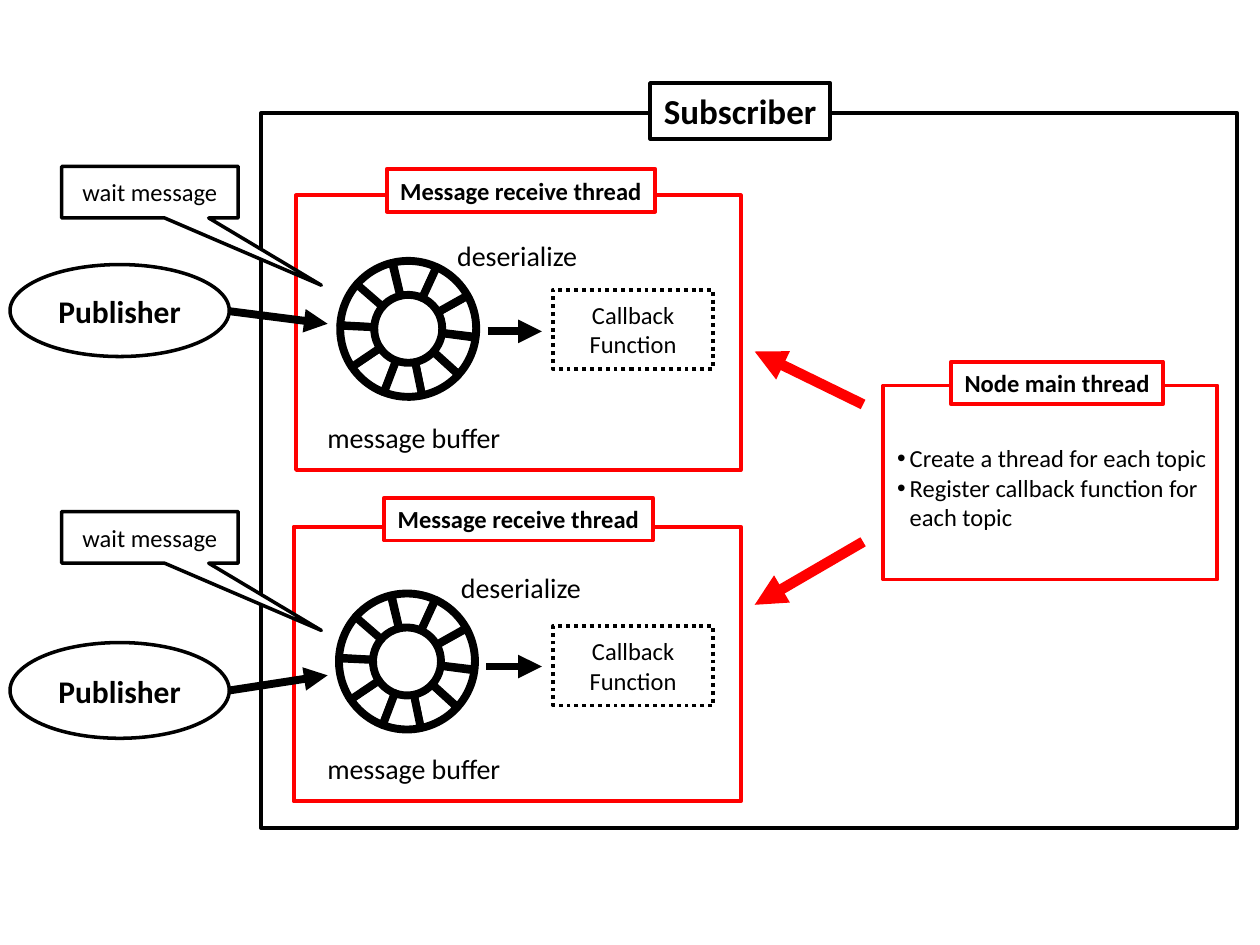
from dataclasses import dataclass

from lxml import etree
from pptx import Presentation
from pptx.dml.color import RGBColor
from pptx.enum import dml, shapes, text
from pptx.oxml import ns
from pptx.util import Inches, Pt

BLACK = RGBColor(0, 0, 0)
WHITE = RGBColor(255, 255, 255)
RED = RGBColor(255, 0, 0)
FONT = "Calibri"
SHAPE = shapes.MSO_SHAPE
CENTER = text.PP_ALIGN.CENTER
LEFT = text.PP_ALIGN.LEFT
RING_SEGMENTS = (
    (294.4, 193.515), (6.8, 194.524), (78.3, 194.493), (146.1, 194.994),
    (222.2, 192.587), (256.3, 194.81), (330.6, 194.524), (42.1, 195.263),
    (110.8, 196.509), (182.7, 193.944),
)


@dataclass(frozen=True)
class Box:
    left: float
    top: float
    width: float
    height: float

    def lengths(self) -> tuple:
        return tuple(Inches(value) for value in
                     (self.left, self.top, self.width, self.height))


@dataclass(frozen=True)
class Arrow:
    start: tuple[float, float]
    end: tuple[float, float]
    color: RGBColor = BLACK
    width: float = 4.5


@dataclass(frozen=True)
class ReceiveThread:
    frame: Box
    tag: Box
    ring: Box
    publisher: Box
    callout: Box
    callback: Box
    deserialize: Box
    message_buffer: Box
    arrows: tuple[Arrow, Arrow]


THREADS = (
    ReceiveThread(
        frame=Box(2.35, 1.55, 3.53, 2.18),
        tag=Box(3.07, 1.34, 2.13, 0.34),
        ring=Box(2.7, 2.07, 1.08, 1.08),
        publisher=Box(0.08, 2.1, 1.74, 0.73),
        callout=Box(0.49, 1.32, 1.4, 0.41),
        callback=Box(4.39, 2.3, 1.27, 0.63),
        deserialize=Box(3.42, 1.83, 1.37, 0.39),
        message_buffer=Box(2.3, 3.16, 1.97, 0.63),
        arrows=(Arrow((1.82, 2.47), (2.6, 2.57)),
                Arrow((3.87, 2.63), (4.3, 2.63))),
    ),
    ReceiveThread(
        frame=Box(2.33, 4.18, 3.55, 2.18),
        tag=Box(3.05, 3.95, 2.13, 0.34),
        ring=Box(2.69, 4.71, 1.08, 1.08),
        publisher=Box(0.08, 5.1, 1.74, 0.76),
        callout=Box(0.49, 4.06, 1.4, 0.41),
        callback=Box(4.39, 4.97, 1.27, 0.63),
        deserialize=Box(3.45, 4.47, 1.37, 0.39),
        message_buffer=Box(2.3, 5.78, 1.97, 0.63),
        arrows=(Arrow((1.82, 5.48), (2.6, 5.36)),
                Arrow((3.86, 5.29), (4.3, 5.29))),
    ),
)
CREATION_ARROWS = (
    Arrow((6.85, 3.21), (5.99, 2.79), RED, 6),
    Arrow((6.85, 4.3), (5.99, 4.8), RED, 6),
)


def write_text(shape, content: str, *, size: float = 14, bold: bool = False,
               align=CENTER, wrap: bool = True) -> None:
    frame = shape.text_frame
    frame.text = content
    frame.word_wrap = wrap
    frame.auto_size = text.MSO_AUTO_SIZE.NONE
    frame.vertical_anchor = text.MSO_ANCHOR.MIDDLE
    for paragraph in frame.paragraphs:
        paragraph.alignment = align
        paragraph.space_before = Pt(0)
        font = paragraph.runs[0].font
        font.name = FONT
        font.size = Pt(size)
        font.bold = bold
        font.color.rgb = BLACK


def place(shape, box: Box) -> None:
    shape.left, shape.top, shape.width, shape.height = box.lengths()


def paint(shape, line: RGBColor, width: float, filled: bool) -> None:
    if filled:
        shape.fill.solid()
        shape.fill.fore_color.rgb = WHITE
    else:
        shape.fill.background()
    shape.line.color.rgb = line
    shape.line.width = Pt(width)


def add_shape(parent, kind, box: Box, *, line: RGBColor = BLACK,
              width: float = 2.25, filled: bool = True):
    shape = parent.shapes.add_shape(kind, *box.lengths())
    shape.shadow.inherit = False
    paint(shape, line, width, filled)
    return shape


def add_tag(slide, box: Box, content: str) -> None:
    tag = add_shape(slide, SHAPE.RECTANGLE, box, line=RED)
    write_text(tag, content, bold=True, wrap=False)


def add_label(slide, box: Box, content: str) -> None:
    write_text(slide.shapes.add_textbox(*box.lengths()), content, size=16)


def add_arrow(slide, arrow: Arrow) -> None:
    points = [Inches(value) for value in arrow.start + arrow.end]
    connector = slide.shapes.add_connector(shapes.MSO_CONNECTOR.STRAIGHT, *points)
    connector.line.color.rgb = arrow.color
    connector.line.width = Pt(arrow.width)
    etree.SubElement(connector.line._get_or_add_ln(), ns.qn("a:tailEnd"),
                     type="triangle")
    etree.SubElement(connector.element.spPr, ns.qn("a:effectLst"))


def add_ring(slide, box: Box) -> None:
    ring = slide.shapes.add_group_shape()
    for rotation, start_angle in RING_SEGMENTS:
        segment = add_shape(ring, SHAPE.BLOCK_ARC, box, width=4.5)
        segment.rotation = rotation
        for index, value in enumerate((start_angle, 0, 0.25)):
            segment.adjustments[index] = value


def add_thread(slide, thread: ReceiveThread) -> None:
    add_shape(slide, SHAPE.RECTANGLE, thread.frame, line=RED, filled=False)
    add_ring(slide, thread.ring)
    publisher = add_shape(slide, SHAPE.OVAL, thread.publisher, width=2)
    write_text(publisher, "Publisher", size=18, bold=True)
    for arrow in thread.arrows:
        add_arrow(slide, arrow)
    callback = add_shape(slide, SHAPE.RECTANGLE, thread.callback)
    callback.line.dash_style = dml.MSO_LINE.ROUND_DOT
    write_text(callback, "Callback\nFunction")
    add_tag(slide, thread.tag, "Message receive thread")
    callout = add_shape(slide, SHAPE.RECTANGULAR_CALLOUT, thread.callout, width=2)
    callout.adjustments[0] = 0.972
    callout.adjustments[1] = 1.803
    write_text(callout, "wait message")
    add_label(slide, thread.deserialize, "deserialize")
    add_label(slide, thread.message_buffer, "message buffer")


def format_bullets(body) -> None:
    for paragraph in body.text_frame.paragraphs:
        properties = paragraph._p.get_or_add_pPr()
        properties.set("marL", str(Inches(0.1)))
        properties.set("indent", str(-Inches(0.1)))
        etree.SubElement(properties, ns.qn("a:buFont"), typeface="Arial")
        etree.SubElement(properties, ns.qn("a:buChar"), char="•")


presentation = Presentation()
presentation.slide_width = Inches(10)
presentation.slide_height = Inches(7.5)
slide = presentation.slides.add_slide(presentation.slide_layouts[1])
title, body = slide.placeholders

add_shape(slide, SHAPE.RECTANGLE, Box(2.07, 0.9, 7.75, 5.67), filled=False)
for thread in THREADS:
    add_thread(slide, thread)
add_shape(slide, SHAPE.RECTANGLE, Box(7.01, 3.06, 2.65, 1.54), line=RED, filled=False)
add_tag(slide, Box(7.55, 2.87, 1.68, 0.34), "Node main thread")
for arrow in CREATION_ARROWS:
    add_arrow(slide, arrow)

place(title, Box(5.16, 0.66, 1.43, 0.44))
paint(title, BLACK, 2.25, True)
write_text(title, "Subscriber", size=20, bold=True, wrap=False)
place(body, Box(7.02, 3.58, 2.74, 0.58))
write_text(body, "Create a thread for each topic\n"
           "Register callback function for each topic", align=LEFT)
format_bullets(body)
for placeholder in (title, body):
    placeholder.element.getparent().append(placeholder.element)

presentation.save("out.pptx")
